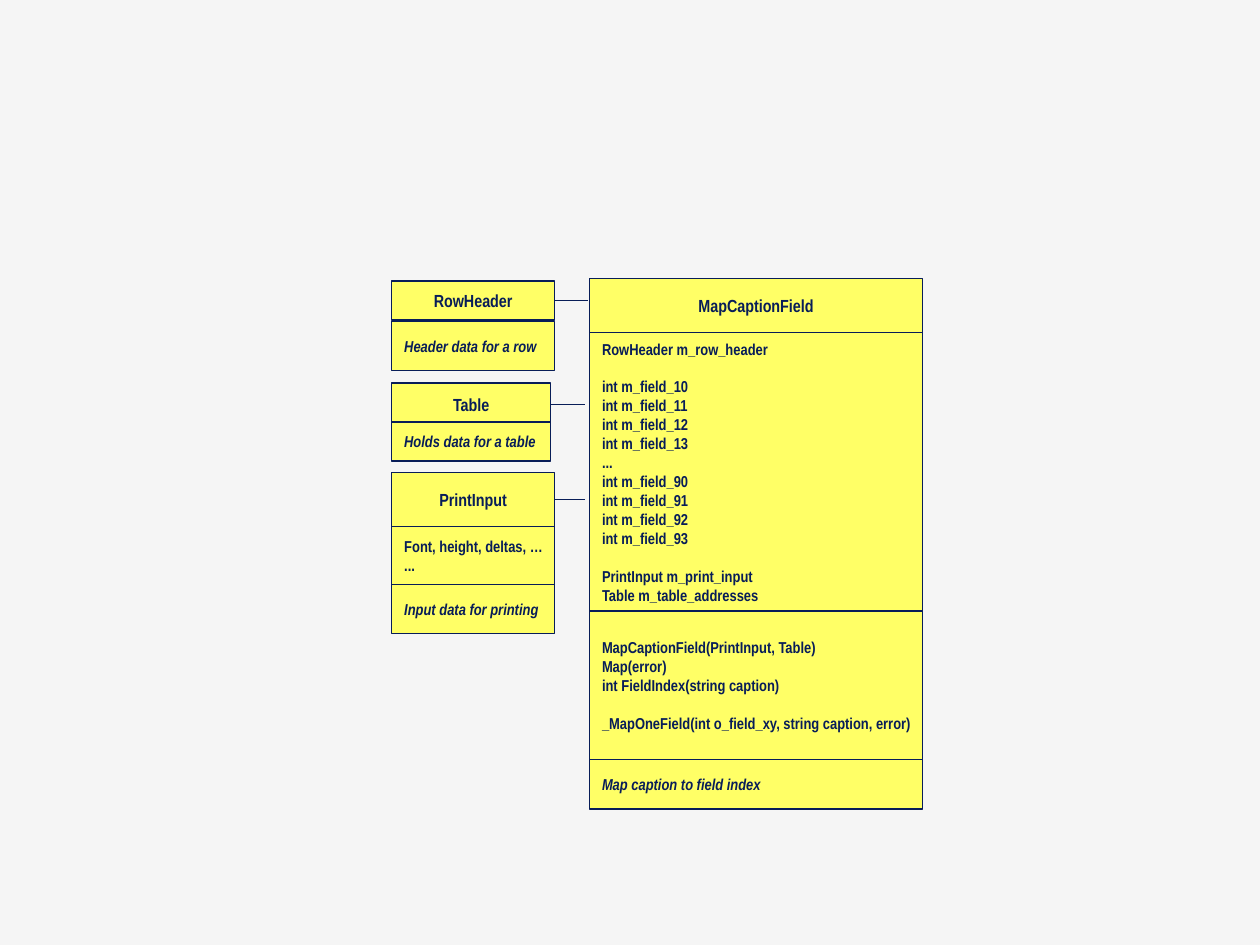
from dataclasses import dataclass

from lxml import etree
from pptx import Presentation
from pptx import util as u
from pptx.dml import color
from pptx.enum import shapes, text
from pptx.oxml import ns


@dataclass(frozen=True)
class Theme:
    background: str = "F5F5F5"
    fill: str = "FFFF66"
    ink: str = "081D58"
    font: str = "Arial Narrow"
    title_size: float = 10
    body_size: float = 9
    gap: float = 10.8
    line_width: float = 0.75


class Diagram:
    def __init__(self, slide, theme):
        self.slide = slide
        self.theme = theme
        background = slide.background.fill
        background.solid()
        background.fore_color.rgb = color.RGBColor.from_string(theme.background)

    def outline(self, line):
        line.color.rgb = color.RGBColor.from_string(self.theme.ink)
        line.width = u.Pt(self.theme.line_width)

    def add_span(self, para, words, size, italic):
        span = para.add_run()
        span.text = words
        span.font.name = self.theme.font
        span.font.size = u.Pt(size)
        span.font.bold = True
        span.font.italic = italic
        span.font.color.rgb = color.RGBColor.from_string(self.theme.ink)

    def compartment(self, left, top, width, height, groups, kind):
        box = self.slide.shapes.add_shape(
            shapes.MSO_SHAPE.RECTANGLE,
            u.Inches(left), u.Inches(top), u.Inches(width), u.Inches(height),
        )
        box.shadow.inherit = False
        box.fill.solid()
        box.fill.fore_color.rgb = color.RGBColor.from_string(self.theme.fill)
        self.outline(box.line)
        frame = box.text_frame
        frame.word_wrap = False
        frame.vertical_anchor = text.MSO_ANCHOR.MIDDLE
        is_title = kind == "title"
        size = self.theme.title_size if is_title else self.theme.body_size
        para = None
        for group in groups:
            for index, words in enumerate(group):
                starts_group = para is not None and index == 0
                para = frame.paragraphs[0] if para is None else frame.add_paragraph()
                para.alignment = text.PP_ALIGN.CENTER if is_title else text.PP_ALIGN.LEFT
                if starts_group:
                    para.space_before = u.Pt(self.theme.gap)
                self.add_span(para, words, size, kind == "note")
        return box

    def class_box(self, left, width, compartments):
        boxes = [
            self.compartment(left, top, width, height, groups, kind)
            for top, height, kind, groups in compartments
        ]
        return boxes[0]

    def link(self, title, end_x):
        middle = title.top + title.height // 2
        line = self.slide.shapes.add_connector(
            shapes.MSO_CONNECTOR.STRAIGHT,
            title.left + title.width, middle, u.Inches(end_x), middle,
        )
        line.begin_connect(title, 3)
        self.outline(line.line)
        etree.SubElement(line._element.spPr, ns.qn("a:effectLst"))


MAPPER = [
    (2.21, 0.43, "title", [["MapCaptionField"]]),
    (2.64, 2.21, "members", [
        ["RowHeader m_row_header"],
        [f"int m_field_1{digit}" for digit in range(4)]
        + ["..."]
        + [f"int m_field_9{digit}" for digit in range(4)],
        ["PrintInput m_print_input", "Table m_table_addresses"],
    ]),
    (4.85, 1.18, "members", [
        ["MapCaptionField(PrintInput, Table)", "Map(error)", "int FieldIndex(string caption)"],
        ["_MapOneField(int o_field_xy, string caption, error)"],
    ]),
    (6.03, 0.39, "note", [["Map caption to field index"]]),
]

HELPERS = [
    (1.29, 4.67, [
        (2.23, 0.31, "title", [["RowHeader"]]),
        (2.55, 0.39, "note", [["Header data for a row"]]),
    ]),
    (1.26, 4.64, [
        (3.04, 0.34, "title", [["Table"]]),
        (3.35, 0.31, "note", [["Holds data for a table"]]),
    ]),
    (1.29, 4.64, [
        (3.75, 0.43, "title", [["PrintInput"]]),
        (4.18, 0.46, "members", [["Font, height, deltas, …", "..."]]),
        (4.64, 0.39, "note", [["Input data for printing"]]),
    ]),
]


def main():
    deck = Presentation()
    deck.slide_width = u.Inches(10)
    deck.slide_height = u.Inches(7.5)
    page = deck.slides.add_slide(deck.slide_layouts[6])
    diagram = Diagram(page, Theme())
    diagram.class_box(4.68, 2.64, MAPPER)
    for width, link_end, compartments in HELPERS:
        title = diagram.class_box(3.11, width, compartments)
        diagram.link(title, link_end)
    deck.save("out.pptx")


if __name__ == "__main__":
    main()
